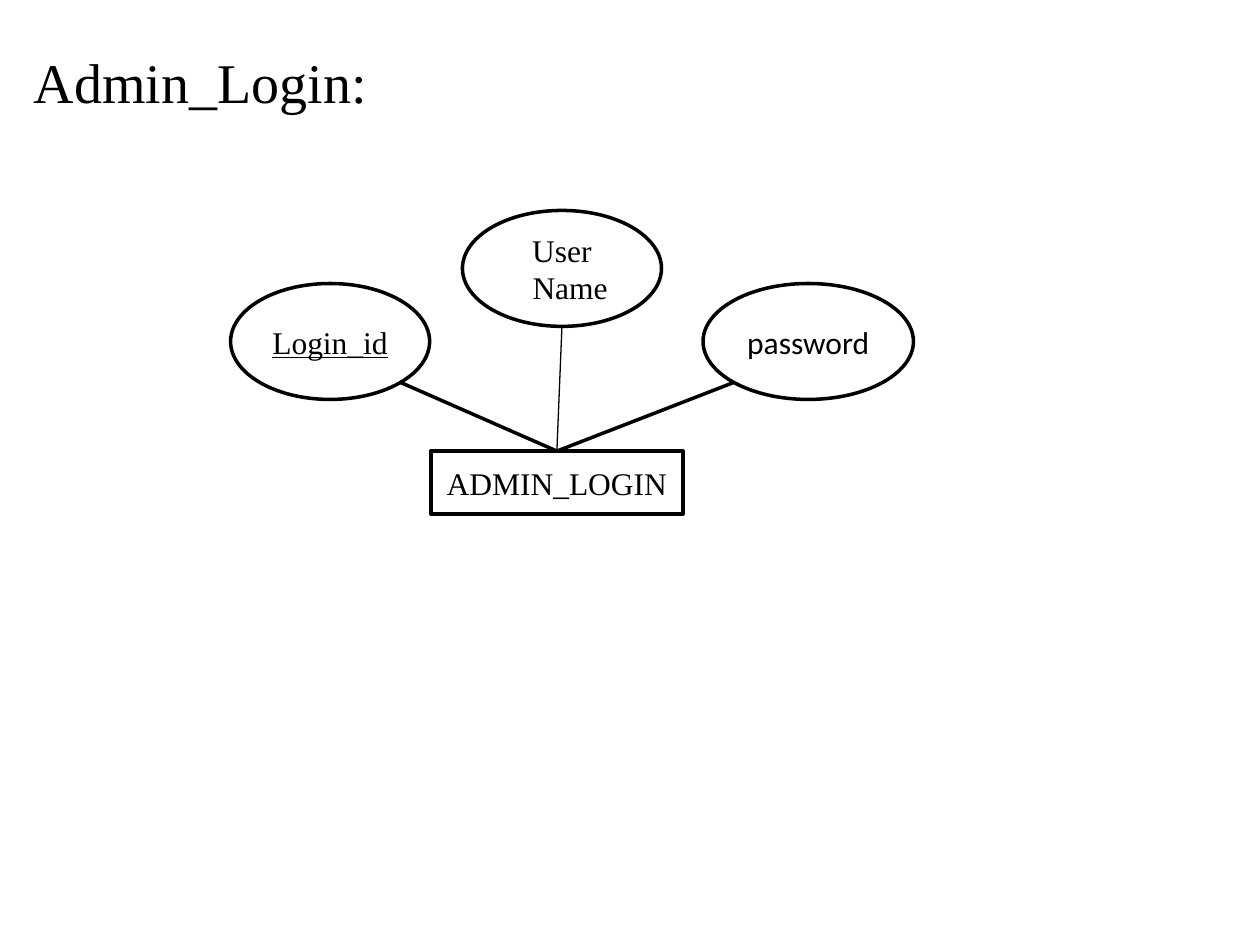
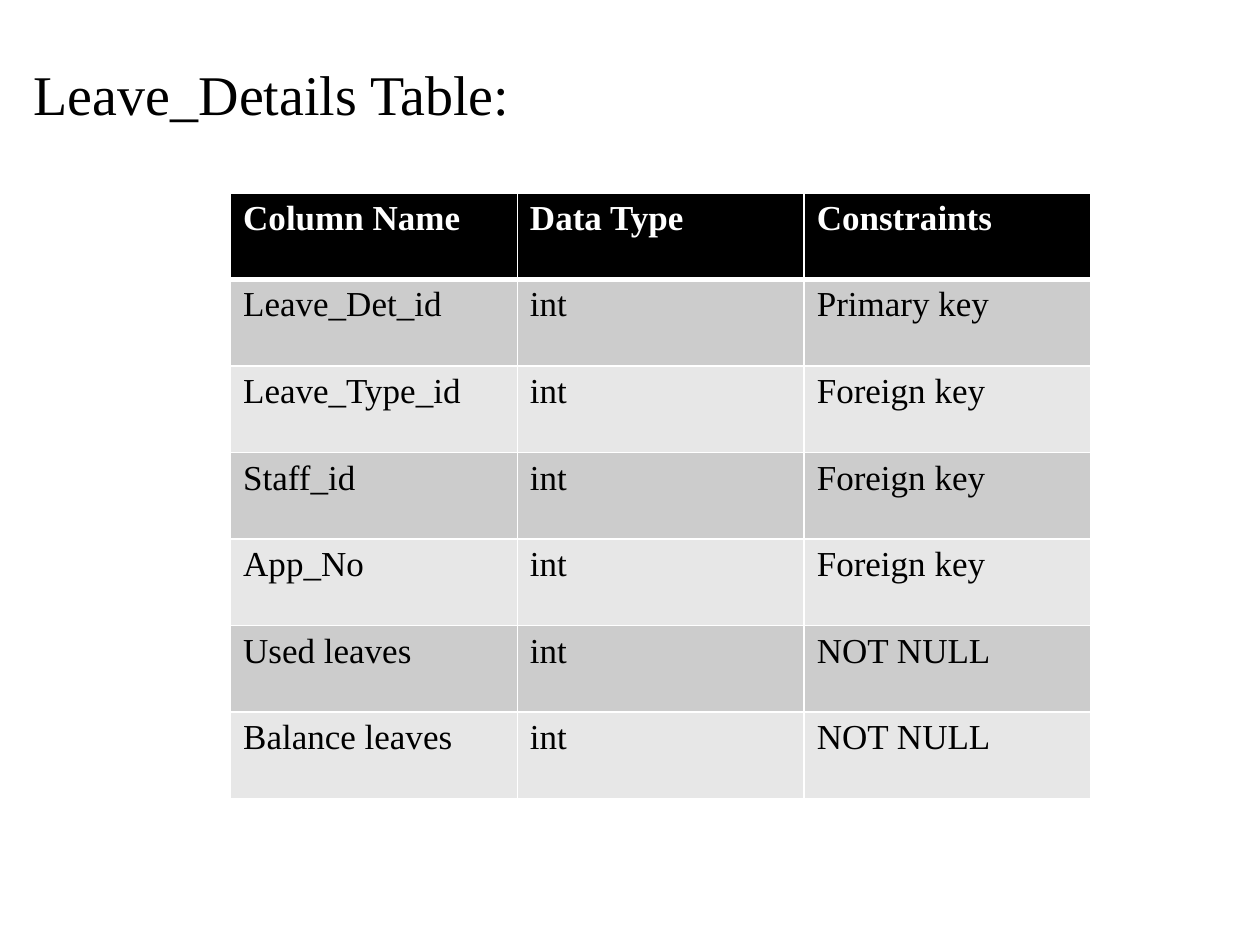
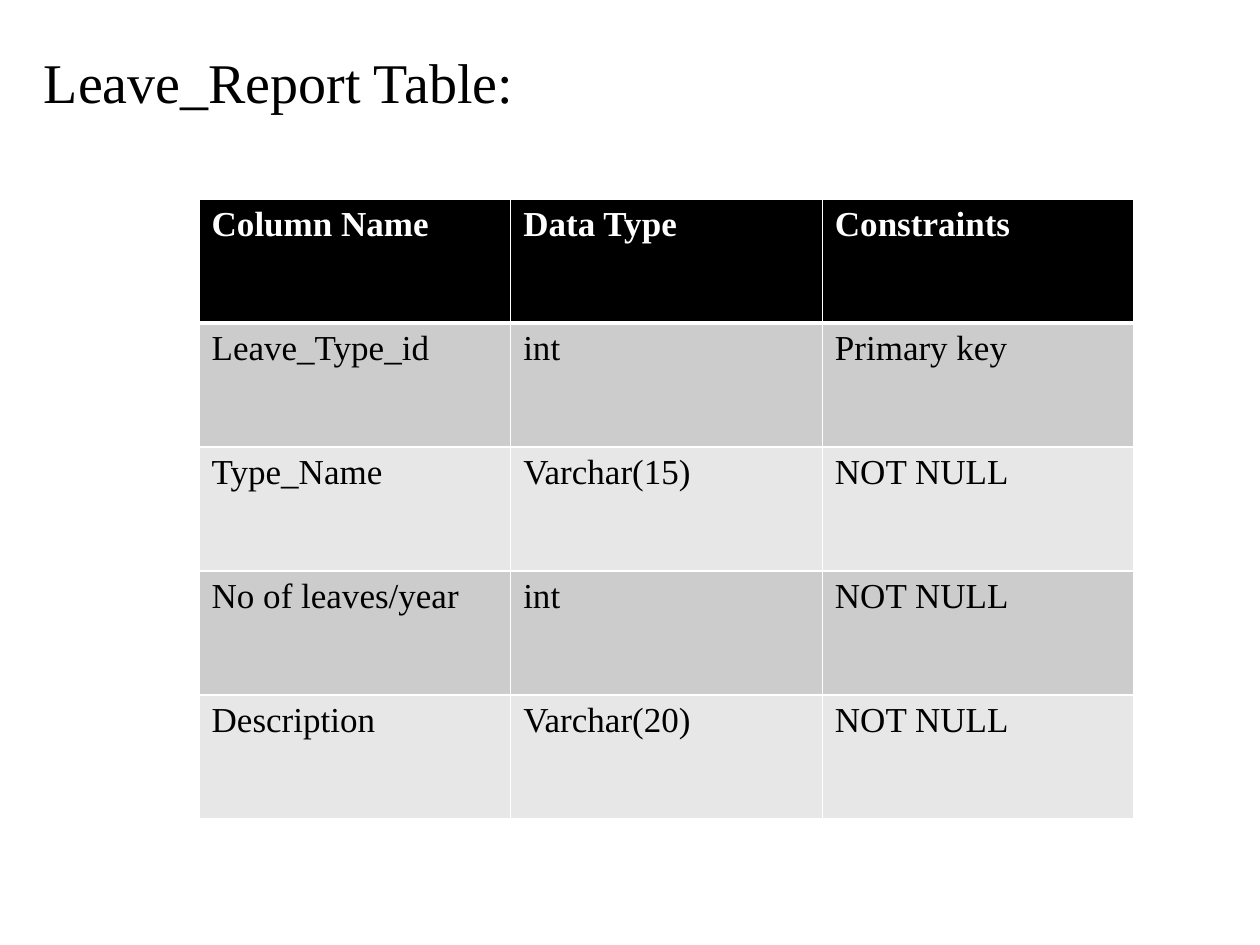
import math
from dataclasses import dataclass

from lxml import etree
from pptx import Presentation
from pptx import util as u
from pptx.dml.color import RGBColor
from pptx.enum import shapes, text
from pptx.oxml.ns import qn


@dataclass(frozen=True)
class Theme:
    serif: str = "Times New Roman"
    sans: str = "Calibri"
    ink: str = "000000"
    paper: str = "FFFFFF"
    bands: tuple = ("CCCCCC", "E7E7E7")
    title: int = 32
    cell: int = 20
    label: int = 18
    outline: float = 2
    thin: float = 0.75
    grid: int = 1
    header_rule: int = 3


class Deck:
    def __init__(self, theme):
        self.t = theme
        self.prs = Presentation()
        self.prs.slide_width = u.Inches(10)
        self.prs.slide_height = u.Inches(7.5)
        self.s = None

    def slide(self, title, left, top, width):
        self.s = self.prs.slides.add_slide(self.prs.slide_layouts[6])
        sp = self.s.shapes.add_textbox(*map(u.Inches, (left, top, width, 0.64)))
        sp.text_frame.word_wrap = True
        self.add_text(sp.text_frame.paragraphs[0], title, size=self.t.title)

    def add_text(self, p, words, size, color=None, **style):
        r = p.add_run()
        r.text = words
        r.font.color.rgb = RGBColor.from_string(color or self.t.ink)
        for key, value in {"name": self.t.serif, "size": u.Pt(size), **style}.items():
            setattr(r.font, key, value)

    def shape(self, kind, box, lines, indent=0, **style):
        sp = self.s.shapes.add_shape(kind, *map(u.Inches, box))
        sp.shadow.inherit = False
        sp.fill.background()
        sp.line.color.rgb = RGBColor.from_string(self.t.ink)
        sp.line.width = u.Pt(self.t.outline)
        tf = sp.text_frame
        frame = {"word_wrap": True, "vertical_anchor": text.MSO_ANCHOR.MIDDLE,
                 "margin_left": u.Inches(0.05), "margin_right": u.Inches(0.05)}
        for key, value in frame.items():
            setattr(tf, key, value)
        for i, line in enumerate(lines):
            p = tf.add_paragraph() if i else tf.paragraphs[0]
            p.alignment = text.PP_ALIGN.CENTER
            if i and indent:
                p._p.get_or_add_pPr().set("marL", str(u.Inches(indent)))
            self.add_text(p, line, self.t.label, **style)
        return sp

    def entity(self, box, name):
        return self.shape(shapes.MSO_SHAPE.RECTANGLE, box, [name])

    def attribute(self, box, lines, **style):
        return self.shape(shapes.MSO_SHAPE.OVAL, box, lines, **style)

    def link(self, entity, oval, angle, width):
        a = math.radians(angle)
        x = oval.left + oval.width / 2 * (1 + math.cos(a))
        y = oval.top + oval.height / 2 * (1 + math.sin(a))
        c = self.s.shapes.add_connector(
            shapes.MSO_CONNECTOR.STRAIGHT, 0, 0, round(x), round(y))
        c.begin_connect(entity, 0)
        c.line.color.rgb = RGBColor.from_string(self.t.ink)
        c.line.width = u.Pt(width)
        etree.SubElement(c._element.spPr, qn("a:effectLst"))

    def borders(self, cell, **widths):
        tcPr = cell._tc.get_or_add_tcPr()
        for side in "LRTB":
            ln = etree.SubElement(tcPr, qn(f"a:ln{side}"),
                                  w=str(u.Pt(widths.get(side, self.t.grid))))
            fill = etree.SubElement(ln, qn("a:solidFill"))
            etree.SubElement(fill, qn("a:srgbClr"), val=self.t.paper)

    def table(self, box, rows):
        t = self.t
        rows = [("Column Name", "Data Type", "Constraints"), *rows]
        table = self.s.shapes.add_table(
            len(rows), len(rows[0]), *map(u.Inches, box)).table
        for i, row in enumerate(rows):
            head = i == 0
            rule = {0: {"B": t.header_rule}, 1: {"T": t.header_rule}}.get(i, {})
            for j, words in enumerate(row):
                cell = table.cell(i, j)
                self.borders(cell, **rule)
                cell.fill.solid()
                cell.fill.fore_color.rgb = RGBColor.from_string(
                    t.ink if head else t.bands[(i - 1) % 2])
                self.add_text(cell.text_frame.paragraphs[0], words, t.cell,
                              t.paper if head else t.ink, bold=head)


def main():
    theme = Theme()
    deck = Deck(theme)

    deck.slide("Admin_Login:", 0.17, 0.33, 3.5)
    login = deck.entity((3.42, 3.58, 2, 0.5), "ADMIN_LOGIN")
    login_id = deck.attribute((1.83, 2.25, 1.58, 0.92), ["Login_id"], underline=True)
    user_name = deck.attribute((3.67, 1.67, 1.58, 0.92), ["User", "Name"], indent=0.13)
    password = deck.attribute((5.58, 2.25, 1.67, 0.92), ["password"], name=theme.sans)
    for oval, angle, width in ((password, 135, theme.outline),
                               (login_id, 45, theme.outline),
                               (user_name, 90, theme.thin)):
        deck.link(login, oval, angle, width)

    deck.slide("Leave_Details Table:", 0.17, 0.42, 4.92)
    deck.table((1.83, 1.53, 6.83, 4.81), [
        ("Leave_Det_id", "int", "Primary key"),
        ("Leave_Type_id", "int", "Foreign key"),
        ("Staff_id", "int", "Foreign key"),
        ("App_No", "int", "Foreign key"),
        ("Used leaves", "int", "NOT NULL"),
        ("Balance leaves", "int", "NOT NULL"),
    ])

    deck.slide("Leave_Report Table:", 0.25, 0.33, 3.96)
    deck.table((1.58, 1.58, 7.42, 4.92), [
        ("Leave_Type_id", "int", "Primary key"),
        ("Type_Name", "Varchar(15)", "NOT NULL"),
        ("No of leaves/year", "int", "NOT NULL"),
        ("Description", "Varchar(20)", "NOT NULL"),
    ])

    deck.prs.save("out.pptx")


if __name__ == "__main__":
    main()
